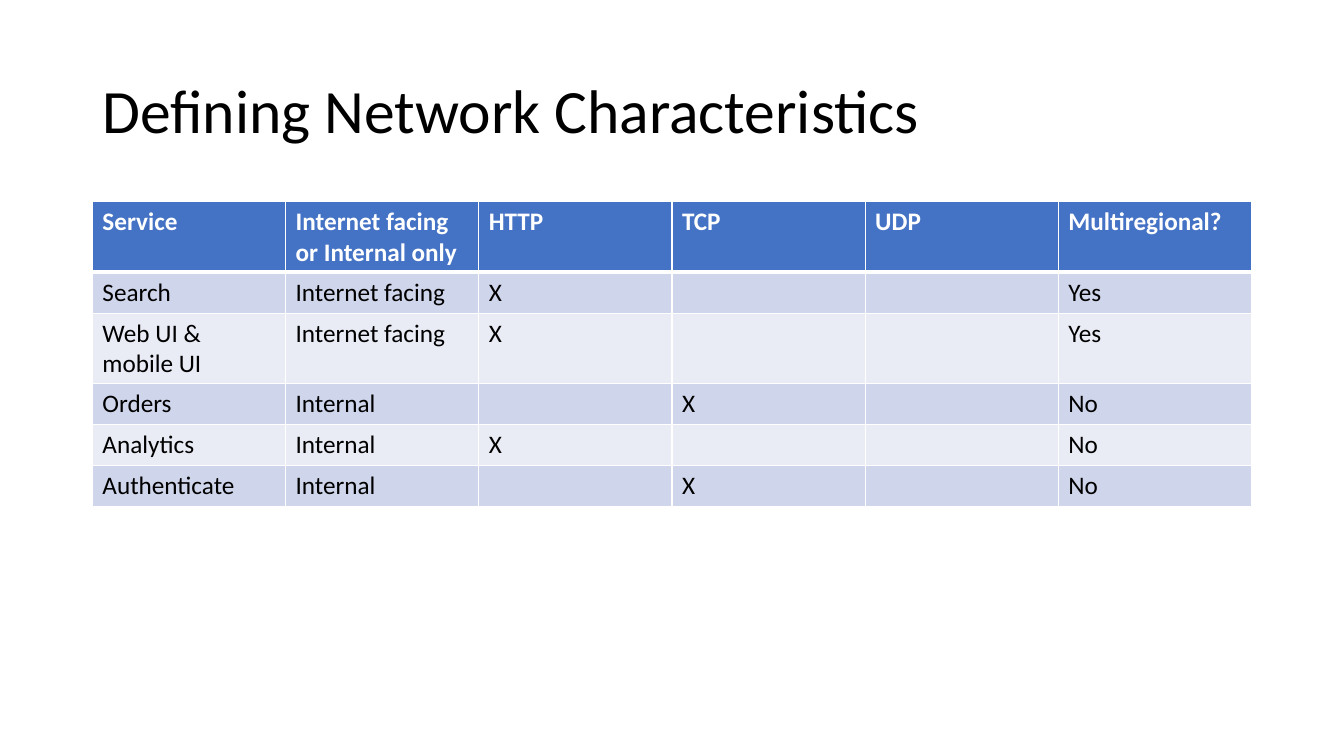
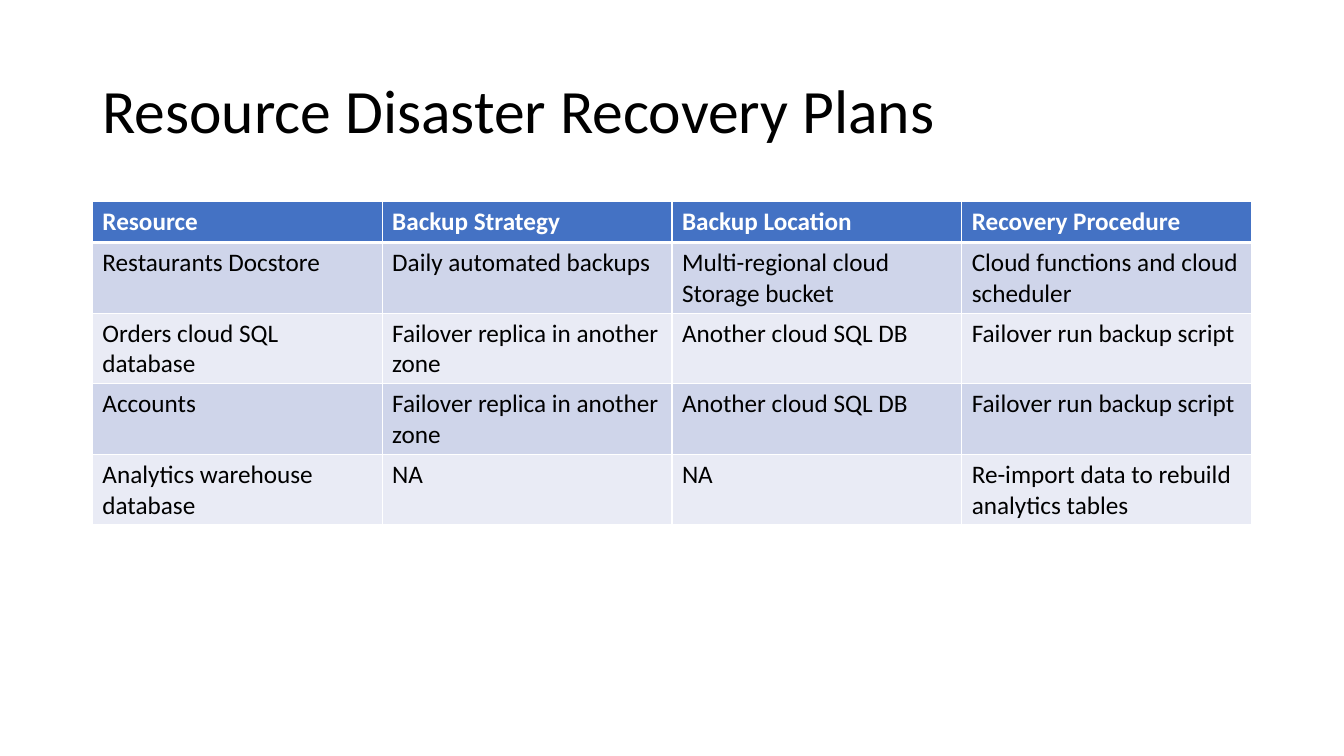
from lxml import etree
from pptx import Presentation
from pptx import util as u
from pptx.dml.color import RGBColor
from pptx.enum import text
from pptx.oxml import ns

PX = 9525
FONT = "Calibri"
INK = {"text": "000000", "head": "4472C4", "odd": "CFD5EA", "even": "E9EBF5", "line": "FFFFFF"}
LEFT, WIDE, ROW, TALL = 88, 1104, 39, 67

PAGES = [
    ("Defining Network Characteristics", [0, 2], [
        ["Service", "Internet facing or Internal only", "HTTP", "TCP", "UDP", "Multiregional?"],
        ["Search", "Internet facing", "X", "", "", "Yes"],
        ["Web UI & mobile UI", "Internet facing", "X", "", "", "Yes"],
        ["Orders", "Internal", "", "X", "", "No"],
        ["Analytics", "Internal", "X", "", "", "No"],
        ["Authenticate", "Internal", "", "X", "", "No"],
    ]),
    ("Resource Disaster Recovery Plans", [1, 2, 3, 4], [
        ["Resource", "Backup Strategy", "Backup Location", "Recovery Procedure"],
        ["Restaurants Docstore", "Daily automated backups", "Multi-regional cloud Storage bucket",
         "Cloud functions and cloud scheduler"],
        ["Orders cloud SQL database", "Failover replica in another zone", "Another cloud SQL DB",
         "Failover run backup script"],
        ["Accounts", "Failover replica in another zone", "Another cloud SQL DB",
         "Failover run backup script"],
        ["Analytics warehouse database", "NA", "NA", "Re-import data to rebuild analytics tables"],
    ]),
]


def style(para, size, color, bold=False):
    font = para.font
    font.name, font.size, font.bold = FONT, u.Pt(size), bold
    font.color.rgb = RGBColor.from_string(INK[color])


def edge(cell, side, width):
    props = cell._tc.get_or_add_tcPr()
    line = etree.SubElement(props, ns.qn("a:ln" + side), w=str(u.Pt(width)))
    fill = etree.SubElement(line, ns.qn("a:solidFill"))
    etree.SubElement(fill, ns.qn("a:srgbClr"), val=INK["line"])


deck = Presentation()
deck.slide_width, deck.slide_height = 1280 * PX, 720 * PX

for title, double, rows in PAGES:
    slide = deck.slides.add_slide(deck.slide_layouts[6])

    box = slide.shapes.add_textbox(LEFT * PX, 38 * PX, WIDE * PX, 140 * PX)
    frame = box.text_frame
    frame.word_wrap = True
    frame.vertical_anchor = text.MSO_ANCHOR.MIDDLE
    frame.text = title
    para = frame.paragraphs[0]
    para.line_spacing = 0.9
    style(para, 44, "text")

    count = len(rows[0])
    highs = [TALL if i in double else ROW for i in range(len(rows))]
    table = slide.shapes.add_table(
        len(rows), count, LEFT * PX, 192 * PX, WIDE * PX, sum(highs) * PX).table
    table.horz_banding = False
    for col in table.columns:
        col.width = WIDE // count * PX
    for i, row in enumerate(rows):
        table.rows[i].height = highs[i] * PX
        band = "head" if i == 0 else "odd" if i % 2 else "even"
        for j, words in enumerate(row):
            cell = table.cell(i, j)
            for side in "LRTB":
                thick = (i, side) in [(0, "B"), (1, "T")]
                edge(cell, side, 3 if thick else 1)
            cell.fill.solid()
            cell.fill.fore_color.rgb = RGBColor.from_string(INK[band])
            if words:
                cell.text = words
                style(cell.text_frame.paragraphs[0], 18, "text" if i else "line", i == 0)

deck.save("out.pptx")
